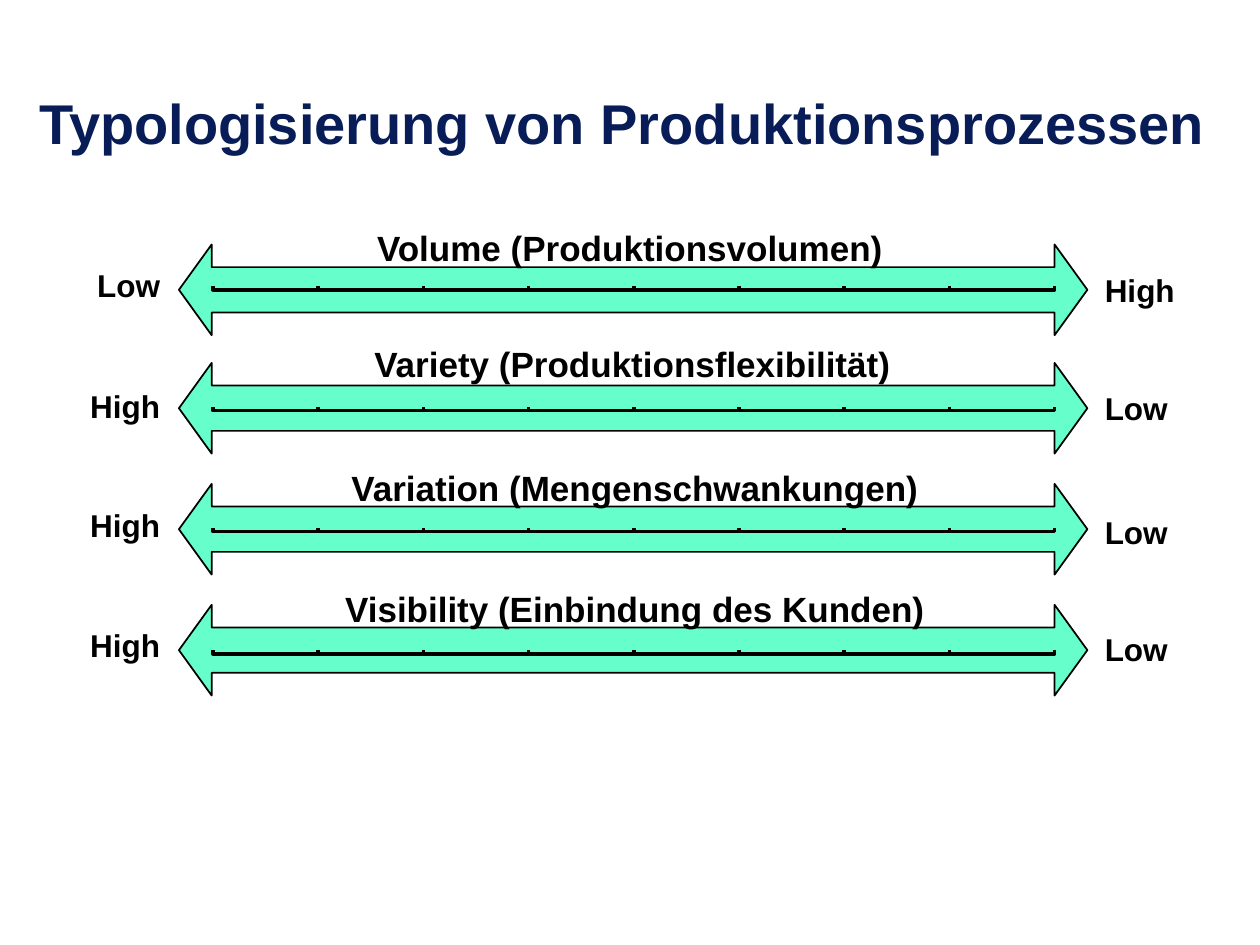
"""Builds a slide with four two-way scales that classify production processes."""
from dataclasses import dataclass

from pptx import Presentation
from pptx.dml.color import RGBColor
from pptx.enum.shapes import MSO_SHAPE
from pptx.enum.text import MSO_ANCHOR, MSO_AUTO_SIZE, PP_ALIGN
from pptx.util import Inches, Pt


@dataclass(frozen=True)
class Theme:
    font: str = "Arial"
    navy: RGBColor = RGBColor(0x08, 0x1D, 0x58)
    ink: RGBColor = RGBColor(0, 0, 0)
    mint: RGBColor = RGBColor(0x66, 0xFF, 0xCC)
    title: int = 32
    caption: int = 20
    label: int = 18


THEME = Theme()
TITLE = "Typologisierung von Produktionsprozessen"
SCALES = [
    dict(caption="Volume (Produktionsvolumen)", ends=("Low", "High"),
         top=1.94, ruler=2.27, end_tops=(2.06, 2.10), box=(2.70, 1.75, 4.60)),
    dict(caption="Variety (Produktionsflexibilität)", ends=("High", "Low"),
         top=2.88, ruler=3.23, end_tops=(3.02, 3.04), box=(2.72, 2.67, 4.60)),
    dict(caption="Variation (Mengenschwankungen)", ends=("High", "Low"),
         top=3.84, ruler=4.19, end_tops=(3.97, 4.02), box=(2.31, 3.65, 5.46)),
    dict(caption="Visibility (Einbindung des Kunden)", ends=("High", "Low"),
         top=4.80, ruler=5.16, end_tops=(4.92, 4.95), box=(1.87, 4.61, 6.34)),
]
ARROW_LEFT, ARROW_WIDTH, ARROW_HEIGHT, HEAD = 1.42, 7.21, 0.72, 0.26
RULER_LEFT, RULER_RIGHT, TICK, STEPS = 1.69, 8.37, 0.03, 8
END_LEFTS, END_WIDTH, END_HEIGHT = (0.54, 8.67), 0.83, 0.40
END_ALIGNS = (PP_ALIGN.RIGHT, PP_ALIGN.LEFT)
CAPTION_HEIGHT = 0.44


def write(tf, text, size, color, align):
    tf.word_wrap = True
    p = tf.paragraphs[0]
    p.text, p.alignment = text, align
    p.font.name, p.font.size, p.font.bold = THEME.font, Pt(size), True
    p.font.color.rgb = color


def add_text(s, text, left, top, width, height, size, align):
    tf = s.shapes.add_textbox(*map(Inches, (left, top, width, height))).text_frame
    write(tf, text, size, THEME.ink, align)
    tf.auto_size = MSO_AUTO_SIZE.SHAPE_TO_FIT_TEXT


def outline(sp, width):
    sp.shadow.inherit = False
    sp.line.color.rgb, sp.line.width = THEME.ink, Pt(width)


def add_arrow(s, top):
    sp = s.shapes.add_shape(MSO_SHAPE.LEFT_RIGHT_ARROW, *map(
        Inches, (ARROW_LEFT, top, ARROW_WIDTH, ARROW_HEIGHT)))
    sp.adjustments[0], sp.adjustments[1] = 0.5, HEAD / ARROW_HEIGHT
    sp.fill.solid()
    sp.fill.fore_color.rgb = THEME.mint
    outline(sp, 1)


def add_ruler(s, top):
    step = (RULER_RIGHT - RULER_LEFT) / STEPS
    y, base = Inches(top), Inches(top + TICK)
    for i in range(STEPS):
        x, end = (Inches(RULER_LEFT + step * n) for n in (i, i + 1))
        builder = s.shapes.build_freeform(x, y)
        builder.add_line_segments([(x, base), (end, base), (end, y)], close=False)
        sp = builder.convert_to_shape()
        sp.fill.background()
        outline(sp, 2)


def main():
    prs = Presentation()
    prs.slide_width, prs.slide_height = Inches(10), Inches(7.5)
    s = prs.slides.add_slide(prs.slide_layouts[5])
    title = s.shapes.title
    title.left, title.top, title.width, title.height = map(
        Inches, (0.21, 0.05, 9.71, 1.24))
    write(title.text_frame, TITLE, THEME.title, THEME.navy, PP_ALIGN.LEFT)
    title.text_frame.vertical_anchor = MSO_ANCHOR.BOTTOM
    for scale in SCALES:
        add_arrow(s, scale["top"])
        add_ruler(s, scale["ruler"])
        for text, left, top, align in zip(
                scale["ends"], END_LEFTS, scale["end_tops"], END_ALIGNS):
            add_text(s, text, left, top, END_WIDTH, END_HEIGHT, THEME.label, align)
        add_text(s, scale["caption"], *scale["box"], CAPTION_HEIGHT,
                 THEME.caption, PP_ALIGN.CENTER)
    prs.save("out.pptx")


if __name__ == "__main__":
    main()
